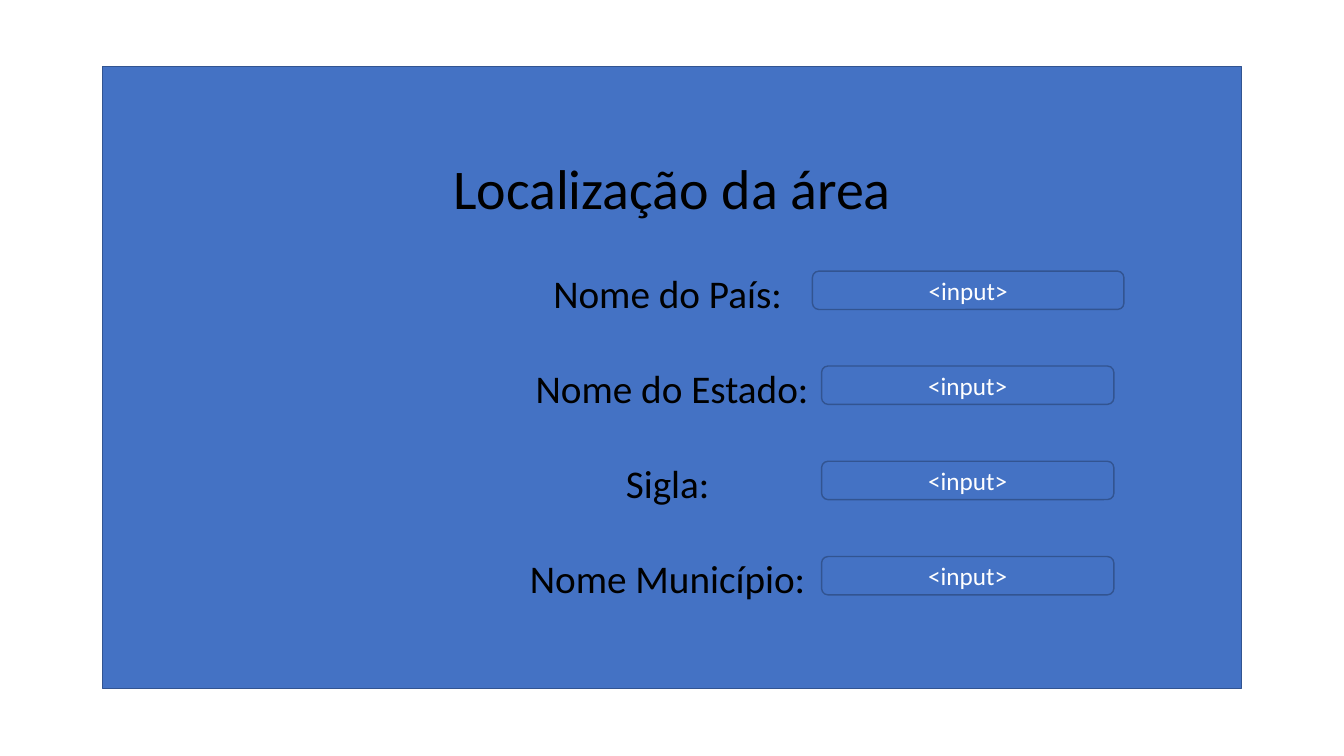
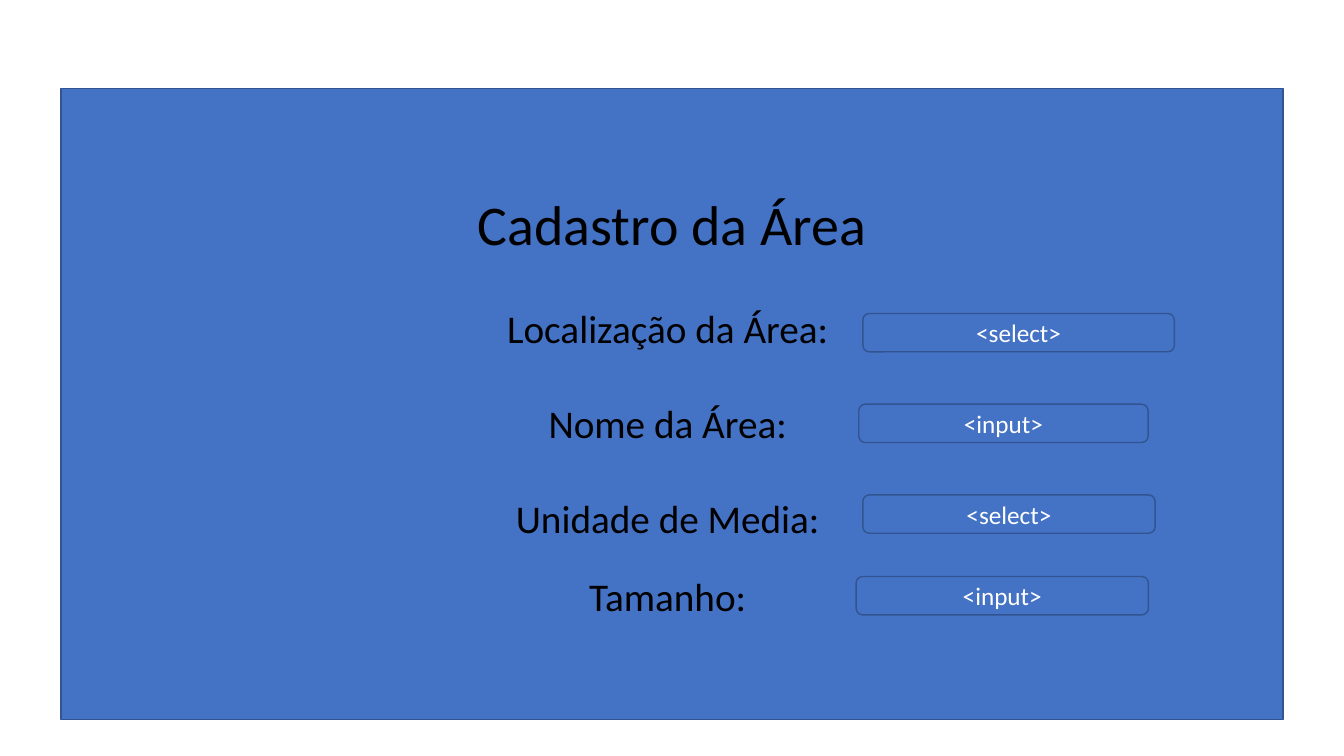
import dataclasses
import itertools

import pptx
import pptx.dml.color
import pptx.enum.shapes
import pptx.enum.text
import pptx.util

RGBColor = pptx.dml.color.RGBColor
Shape = pptx.enum.shapes.MSO_SHAPE

BLUE = RGBColor(0x44, 0x72, 0xC4)
DARK_BLUE = RGBColor(0x32, 0x54, 0x91)
BLACK = RGBColor(0, 0, 0)
WHITE = RGBColor(0xFF, 0xFF, 0xFF)

SLIDE_WIDTH = pptx.util.Inches(13.33)
SLIDE_HEIGHT = pptx.util.Inches(7.5)
COLUMN = SLIDE_WIDTH / 100
ROW = SLIDE_HEIGHT / 100

FONT = "Calibri"
TITLE_FONT = {"name": FONT, "size": pptx.util.Pt(40)}
LABEL_FONT = {"name": FONT, "size": pptx.util.Pt(28)}
FIELD_FONT = {"name": FONT, "size": pptx.util.Pt(18)}

LINE_GAP = 34.2
SMALL_GAP = 22
FIELD_HEIGHT = 5.07
WIDE = 23.18
NARROW = 21.75


@dataclasses.dataclass
class Field:
    label: str
    tag: str
    left: float
    width: float = NARROW
    gap: float = LINE_GAP


@dataclasses.dataclass
class Form:
    """One slide; lengths are in columns and rows of a 100 x 100 grid."""
    title: str
    panel_top: float
    panel_width: float
    panel_height: float
    field_steps: tuple  # top of the first field, then the step to each next one
    fields: tuple


FORMS = (
    Form("Localização da área", 8.8, 84.75, 82.27, (35.87, 12.55, 12.6, 12.6), (
        Field("Nome do País: ", "<input>", 60.45, WIDE),
        Field("Nome do Estado:", "<input>", 61.13),
        Field("Sigla: ", "<input>", 61.13),
        Field("Nome Município: ", "<input>", 61.13),
    )),
    Form("Cadastro da Área", 11.73, 90.9, 83.47, (41.47, 12, 12, 10.8), (
        Field("Localização da Área: ", "<select>", 64.2, WIDE),
        Field("Nome da Área: ", "<input>", 63.9, 21.53),
        Field("Unidade de Media: ", "<select>", 64.2),
        Field("Tamanho: ", "<input>", 63.7, gap=SMALL_GAP),
    )),
)


def add_box(slide, kind, left, top, width, height):
    """Add a blue outlined shape and return its text frame."""
    box = slide.shapes.add_shape(kind, round(left * COLUMN), round(top * ROW),
                                 round(width * COLUMN), round(height * ROW))
    box.shadow.inherit = False
    box.fill.solid()
    box.fill.fore_color.rgb = BLUE
    box.line.color.rgb = DARK_BLUE
    box.line.width = pptx.util.Pt(1)
    box.text_frame.word_wrap = True
    box.text_frame.vertical_anchor = pptx.enum.text.MSO_ANCHOR.MIDDLE
    return box.text_frame


def write_line(paragraph, text, font_format, colour, gap=0):
    paragraph.alignment = pptx.enum.text.PP_ALIGN.CENTER
    paragraph.space_before = pptx.util.Pt(gap)
    run = paragraph.add_run()
    run.text = text
    for attribute, value in font_format.items():
        setattr(run.font, attribute, value)
    run.font.color.rgb = colour


def add_panel(slide, form):
    """Draw the background panel, which holds the title and all labels."""
    left = (100 - form.panel_width) / 2
    frame = add_box(slide, Shape.RECTANGLE, left, form.panel_top,
                    form.panel_width, form.panel_height)
    write_line(frame.paragraphs[0], form.title, TITLE_FONT, BLACK)
    for field in form.fields:
        write_line(frame.add_paragraph(), field.label, LABEL_FONT, BLACK, field.gap)


def add_field(slide, field, top):
    frame = add_box(slide, Shape.ROUNDED_RECTANGLE, field.left, top,
                    field.width, FIELD_HEIGHT)
    write_line(frame.paragraphs[0], field.tag, FIELD_FONT, WHITE)


def add_form(presentation, form):
    slide = presentation.slides.add_slide(presentation.slide_layouts[6])
    add_panel(slide, form)
    for field, top in zip(form.fields, itertools.accumulate(form.field_steps)):
        add_field(slide, field, top)


def main():
    presentation = pptx.Presentation()
    presentation.slide_width = SLIDE_WIDTH
    presentation.slide_height = SLIDE_HEIGHT
    for form in FORMS:
        add_form(presentation, form)
    presentation.save("out.pptx")


if __name__ == "__main__":
    main()
